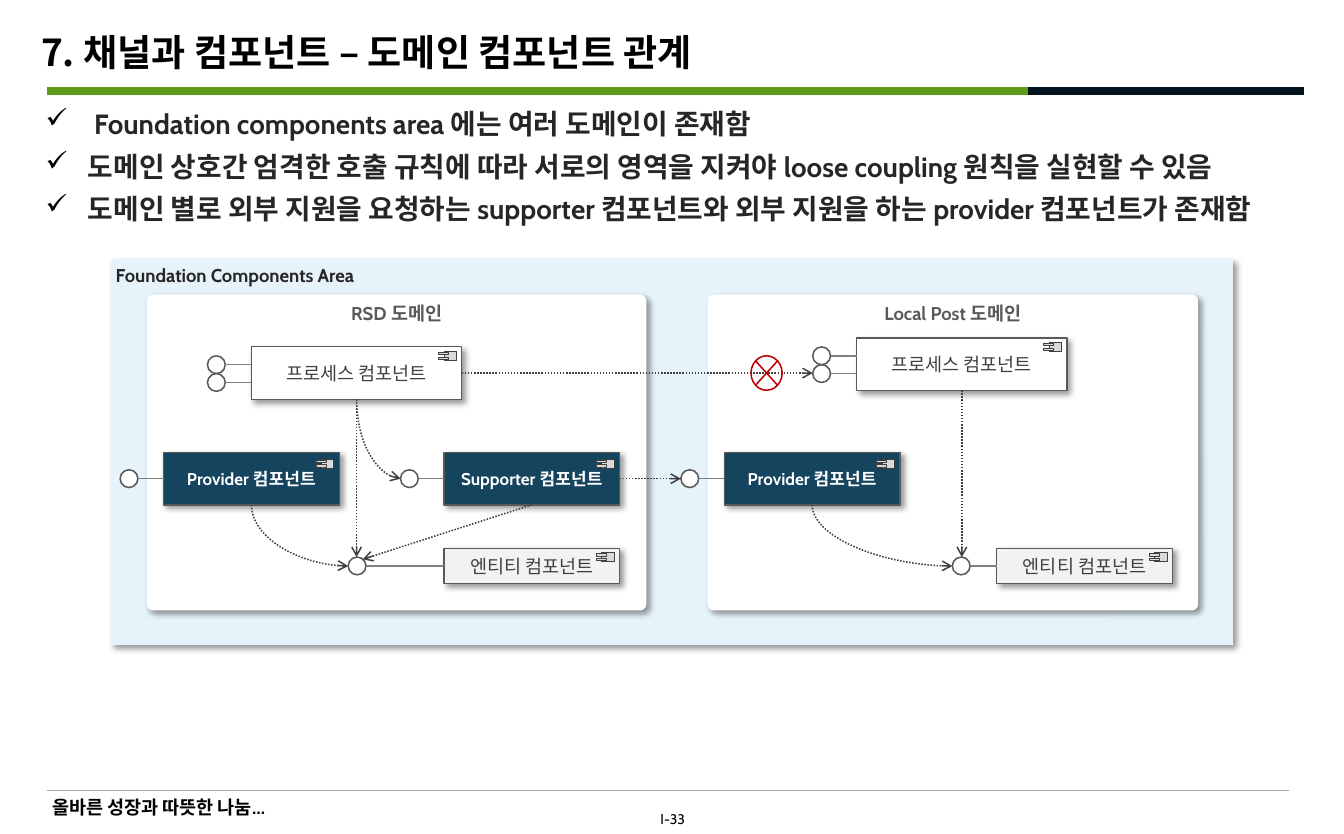
from lxml import etree
from pptx import Presentation, util as u
from pptx.dml import color
from pptx.enum import dml, shapes, text
from pptx.oxml import ns

HUES = dict(black="000000", white="FFFFFF", green="609A1A", navy="04141E",
            rule="A6A6A6", area="E6F3FA", ink="262626", text="404040",
            edge="595959", wire="808080", chip="D9D9D9", pale="F2F2F2",
            teal="15455E", red="C00000")
KIT = shapes.MSO_SHAPE
MID = text.MSO_ANCHOR.MIDDLE
TOP, LEFT, BASE, RIGHT = range(4)
BALL = 1.6  # diameter of an interface circle, in grid cells

# Component kinds: size, format of box and text, icon drop
KINDS = {
    "process": dict(size=(18.9, 4.7), fill="white", line=("edge", 0.75), drop=0.4,
                    font=dict(size=12, hue="text", pad=(0.4, 0.5))),
    "domain": dict(size=(15.8, 4.7), fill="teal", line=("edge", 1), drop=0.6,
                   font=dict(size=11, hue="white", bold=True)),
    "entity": dict(size=(15.8, 3.2), fill="pale", line=("edge", 0.75), drop=0.4,
                   font=dict(size=12, hue="text", pad=(0.4, 0.5))),
}


def rgb(hue):
    return color.RGBColor.from_string(HUES[hue])


def cell(n):
    """Ten grid cells make one inch, across and down."""
    return u.Inches(n / 10)


def node(parent, tag, **attrs):
    item = etree.SubElement(parent, ns.qn("a:" + tag))
    for key, val in attrs.items():
        item.set(key, str(val))
    return item


def write(shape, *lines, size=12, hue="black", bold=False, font="Cabin",
          align="CENTER", anchor=MID, pad=(1, 0.5), before=0, mark=None):
    frame = shape.text_frame
    frame.word_wrap = True
    frame.vertical_anchor = anchor
    frame.margin_left = frame.margin_right = cell(pad[0])
    frame.margin_top = frame.margin_bottom = cell(pad[1])
    for i, line in enumerate(lines):
        para = frame.add_paragraph() if i else frame.paragraphs[0]
        para.alignment = getattr(text.PP_ALIGN, align)
        para.space_before = u.Pt(before)
        run = para.add_run()
        run.text = line
        run.font.size, run.font.bold, run.font.name = u.Pt(size), bold, font
        run.font.color.rgb = rgb(hue)
        node(run.font._element, "ea", typeface=font)
        if mark:
            props = para._p.get_or_add_pPr()
            props.set("marL", str(cell(3.8)))
            props.set("indent", str(-cell(3.8)))
            node(node(props, "buClr"), "srgbClr", val=HUES["black"])
            node(props, "buChar", char=mark)


class Board:
    def __init__(self, wide, high):
        self.deck = Presentation()
        self.deck.slide_width, self.deck.slide_height = cell(wide), cell(high)
        self.page = self.deck.slides.add_slide(self.deck.slide_layouts[6])
        self.items = self.page.shapes

    def label(self, x, y, w, h, *lines, **style):
        box = self.items.add_textbox(*map(cell, (x, y, w, h)))
        write(box, *lines, **style)

    def shape(self, kind, x, y, w, h, fill=None, line=None, shade=False):
        item = self.items.add_shape(kind, *map(cell, (x, y, w, h)))
        item.shadow.inherit = False
        if fill:
            item.fill.solid()
            item.fill.fore_color.rgb = rgb(fill)
        else:
            item.fill.background()
        if line:
            item.line.color.rgb, item.line.width = rgb(line[0]), u.Pt(line[1])
        else:
            item.line.fill.background()
        if shade:
            glow = item._element.spPr.find(ns.qn("a:effectLst"))
            cast = node(glow, "outerShdw", blurRad=u.Pt(4), dist=u.Pt(3),
                        dir=45 * 60000, algn="tl", rotWithShape=0)
            node(node(cast, "srgbClr", val=HUES["black"]), "alpha", val=40000)
        return item

    def wire(self, x1, y1, x2, y2, hue="wire", width=1, join=None, arrow=False, bend=False):
        kind = shapes.MSO_CONNECTOR.CURVE if bend else shapes.MSO_CONNECTOR.STRAIGHT
        line = self.items.add_connector(kind, *map(cell, (x1, y1, x2, y2)))
        line.line.color.rgb, line.line.width = rgb(hue), u.Pt(width)
        props = line._element.spPr
        if arrow:
            line.line.dash_style = dml.MSO_LINE.ROUND_DOT
            node(props.find(ns.qn("a:ln")), "tailEnd", type="arrow")
        node(props, "effectLst")
        if join:
            line.begin_connect(*join)
        if bend:  # leave downwards, arrive from the left
            w, h = y2 - y1, x2 - x1
            line.left, line.top = cell((x1 + x2 - w) / 2), cell((y1 + y2 - h) / 2)
            line.width, line.height = cell(w), cell(h)
            form = props.find(ns.qn("a:xfrm"))
            form.set("rot", str(270 * 60000))
            form.set("flipH", "1")
            props.find(ns.qn("a:prstGeom")).set("prst", "curvedConnector2")

    def flow(self, *ends, **style):
        self.wire(*ends, hue="text", arrow=True, **style)

    def panel(self, x, w, name):
        item = self.shape(KIT.ROUNDED_RECTANGLE, x, 26.5, w, 28.4, "white", shade=True)
        item.adjustments[0] = 0.02
        write(item, name, hue="edge", bold=True, anchor=text.MSO_ANCHOR.TOP)

    def block(self, kind, x, y, name):
        look = KINDS[kind]
        w, h = look["size"]
        item = self.shape(KIT.RECTANGLE, x, y, w, h, look["fill"], look["line"], True)
        write(item, name, **look["font"])
        # Component icon
        ix, iy = x + w - 1.6, y + look["drop"]
        for dx, dy, iw, ih in ((0, 0, 1.1, 0.8), (-0.5, 0.1, 0.9, 0.2), (-0.5, 0.5, 0.9, 0.2)):
            self.shape(KIT.RECTANGLE, ix + dx, iy + dy, iw, ih, "chip", ("text", 0.5))
        return item

    def port(self, x, y, edge, join=None):
        """Interface circle from x, centred on y, wired to the box edge."""
        self.shape(KIT.OVAL, x, y - BALL / 2, BALL, BALL, "white", ("edge", 1))
        self.wire(edge, y, x + BALL, y, join=join)


def main():
    b = Board(120.8, 75)

    # Heading and rules
    b.label(3.7, 1.5, 113.7, 6.3, "7. 채널과 컴포넌트 – 도메인 컴포넌트 관계", size=24,
            bold=True, font="Noto Sans CJK KR", align="LEFT", pad=(0, 0))
    b.wire(4.2, 8.2, 96.4, 8.2, "green", 5)
    b.wire(92.4, 8.2, 117.2, 8.2, "navy", 5)
    b.label(3.7, 9.1, 113.4, 11.8,
            " Foundation components area 에는 여러 도메인이 존재함",
            "도메인 상호간 엄격한 호출 규칙에 따라 서로의 영역을 지켜야 loose coupling 원칙을 실현할 수 있음",
            "도메인 별로 외부 지원을 요청하는 supporter 컴포넌트와 외부 지원을 하는 provider 컴포넌트가 존재함",
            size=18, hue="ink", bold=True, align="LEFT", pad=(0.4, 0.5),
            anchor=text.MSO_ANCHOR.TOP, before=6, mark="✓")

    # Footer
    b.wire(4.2, 71.1, 115.9, 71.1, "rule", 0.25)
    b.label(3.7, 71.4, 26, 2.4, "올바른 성장과 따뜻한 나눔…", bold=True, align="LEFT")
    b.label(51.3, 72.4, 18.3, 2.6, "Ⅰ-33", size=9, anchor=text.MSO_ANCHOR.TOP)

    # Area and its two domains
    area = b.shape(KIT.FLOWCHART_PROCESS, 10, 23.3, 100.8, 34.7, "area", shade=True)
    write(area, "Foundation Components Area", hue="ink", bold=True, align="LEFT",
          anchor=text.MSO_ANCHOR.TOP, pad=(0.4, 0.4))
    b.panel(13.2, 44.9, "RSD 도메인")
    b.panel(63.6, 44.1, "Local Post 도메인")

    # Process components, each with two interfaces
    procs = []
    for x, y in ((22.6, 31.2), (77, 30.4)):
        procs.append(b.block("process", x, y, "프로세스 컴포넌트"))
        for dy in (1.6, 3.2):
            b.port(x - 3.95, y + dy, x)

    # Provider and supporter components
    doms = []
    for x, role in ((14.7, "Provider"), (39.9, "Supporter"), (65.1, "Provider")):
        doms.append(b.block("domain", x, 40.7, role + " 컴포넌트"))
        b.port(x - 3.9, 43.05, x, (doms[-1], LEFT))

    # Entity components
    for x, ball in ((39.9, 31.3), (89.6, 85.6)):
        item = b.block("entity", x, 49.3, "엔티티 컴포넌트")
        b.port(ball, 50.9, x, (item, LEFT))

    # Calls between components
    b.flow(32.05, 35.9, 32.05, 50.1, join=(procs[0], BASE))
    b.flow(86.45, 35.1, 86.45, 50.1, join=(procs[1], BASE))
    b.flow(47.8, 45.4, 32.6, 50.3, join=(doms[1], BASE))
    b.flow(55.7, 43.05, 61.2, 43.05, join=(doms[1], RIGHT))
    b.flow(41.5, 33.55, 73.05, 33.55, join=(procs[0], RIGHT))
    for ends in ((32.05, 35.9, 36, 43.05), (22.6, 45.4, 31.3, 50.9), (73, 45.4, 85.6, 50.9)):
        b.flow(*ends, bend=True)

    # Forbidden call
    b.shape(KIT.FLOWCHART_SUMMING_JUNCTION, 67.5, 32, 2.8, 3.1, line=("red", 1))

    b.deck.save("out.pptx")


if __name__ == "__main__":
    main()
